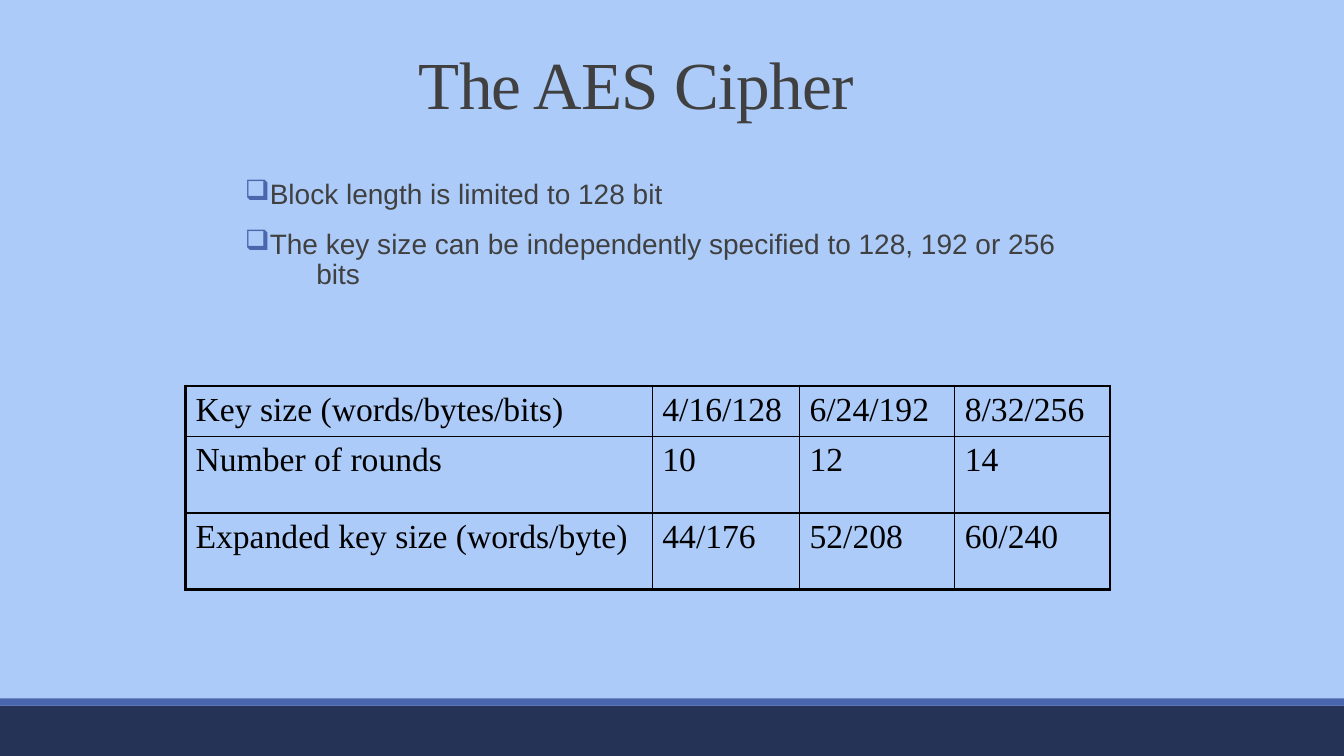
from lxml import etree
from pptx import Presentation
from pptx.dml.color import RGBColor
from pptx.enum.shapes import MSO_SHAPE
from pptx.enum.text import PP_ALIGN
from pptx.oxml.ns import qn
from pptx.util import Inches, Pt

RECT = MSO_SHAPE.RECTANGLE
CENTER = PP_ALIGN.CENTER
SERIF = "Times New Roman"
HUES = {"sky": "ACCBF9", "navy": "253356", "blue": "4A66AC",
        "gray": "404040", "black": "000000"}
WIDE, HIGH = 13.33, 7.5


def style(para, face, size, hue):
    for run in para.runs:
        run.font.name = face
        run.font.size = Pt(size)
        run.font.color.rgb = RGBColor.from_string(HUES[hue])


def add_hue(node, hue):
    etree.SubElement(node, qn("a:srgbClr"), val=HUES[hue])


deck = Presentation()
deck.slide_width, deck.slide_height = Inches(WIDE), Inches(HIGH)
slide = deck.slides.add_slide(deck.slide_layouts[6])
back = slide.background.fill
back.solid()
back.fore_color.rgb = RGBColor.from_string(HUES["sky"])

foot = HIGH / 15
strip = 0.07
for top, tall, hue in [(HIGH - foot, foot, "navy"),
                       (HIGH - foot - strip, strip, "blue")]:
    band = slide.shapes.add_shape(RECT, 0, Inches(top), Inches(WIDE), Inches(tall))
    band.shadow.inherit = False
    band.fill.solid()
    band.fill.fore_color.rgb = RGBColor.from_string(HUES[hue])
    band.line.fill.background()

title = slide.shapes.add_textbox(Inches(2.14), Inches(0.49), Inches(8.5), Inches(1.25))
title.text_frame.word_wrap = True
title.text_frame.text = "The AES Cipher "
head = title.text_frame.paragraphs[0]
head.alignment = CENTER
head.line_spacing = 0.85
style(head, SERIF, 48, "gray")
head.runs[0].font._element.set("spc", "-50")

body = slide.shapes.add_textbox(Inches(2.33), Inches(1.74), Inches(8.5), Inches(4.5))
frame = body.text_frame
frame.word_wrap = True
points = [
    ("Block length is limited to 128 bit", 0.1, True, 12, 2),
    ("The key size can be independently specified to 128, 192 or 256", 0.1, True, 12, 0),
    ("bits", 0.71, False, 0, 2),
]
frame.text = "\n".join(point[0] for point in points)
for para, (_, inset, mark, above, below) in zip(frame.paragraphs, points):
    para.line_spacing = 0.9
    para.space_before, para.space_after = Pt(above), Pt(below)
    style(para, "Arial", 20, "gray")
    props = para._p.get_or_add_pPr()
    props.set("marL", str(Inches(inset)))
    if mark:
        props.set("indent", str(-Inches(inset)))
        add_hue(etree.SubElement(props, qn("a:buClr")), "blue")
        etree.SubElement(props, qn("a:buChar"), char="❑")

rows = [
    ["Key size (words/bytes/bits)", "4/16/128", "6/24/192", "8/32/256"],
    ["Number of rounds", "10", "12", "14"],
    ["Expanded key size (words/byte)", "44/176", "52/208", "60/240"],
]
widths = [4.63, 1.46, 1.54, 1.54]
heights = [0.47, 0.76, 0.76]
table = slide.shapes.add_table(
    len(rows), len(widths), Inches(1.84), Inches(3.83),
    Inches(sum(widths)), Inches(sum(heights))).table
table.first_row = False
table.horz_banding = False
for col, width in zip(table.columns, widths):
    col.width = Inches(width)
for row, height in zip(table.rows, heights):
    row.height = Inches(height)

for r, row in enumerate(rows):
    for c, text in enumerate(row):
        cell = table.cell(r, c)
        cell.text_frame.text = text
        style(cell.text_frame.paragraphs[0], SERIF, 24, "black")
        props = cell._tc.get_or_add_tcPr()
        edges = {"L": c == 0, "R": c == len(row) - 1,
                 "T": r == 0, "B": r == len(rows) - 1}
        for side, outer in edges.items():
            line = etree.SubElement(props, qn("a:ln" + side),
                                    w=str(Pt(2.25 if outer else 1)))
            add_hue(etree.SubElement(line, qn("a:solidFill")), "black")
        cell.fill.background()

deck.save("out.pptx")
